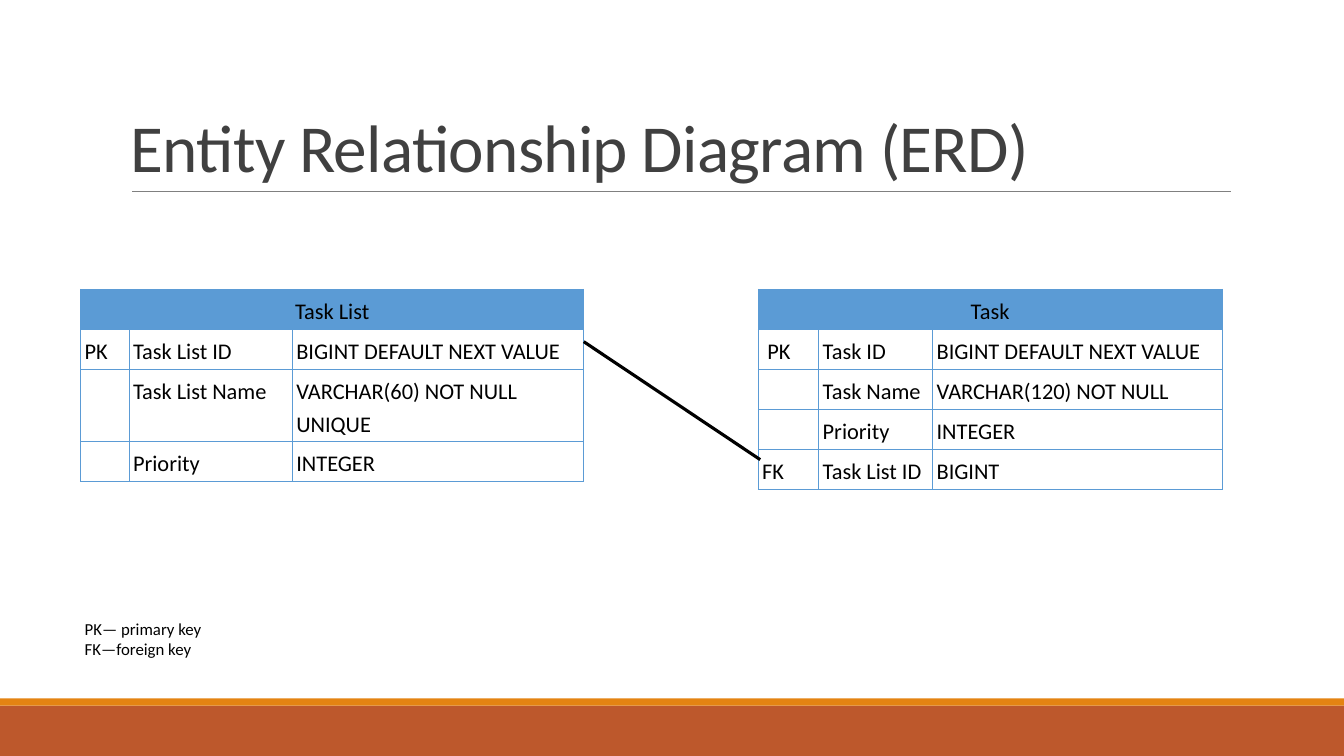
from lxml.etree import SubElement
from pptx import Presentation
from pptx.dml.color import RGBColor
from pptx.enum.shapes import MSO_CONNECTOR, MSO_SHAPE
from pptx.enum.text import MSO_ANCHOR, PP_ALIGN
from pptx.oxml import parse_xml
from pptx.oxml.ns import nsdecls, qn
from pptx.util import Inches, Pt

# Content
TITLE = "Entity Relationship Diagram (ERD)"
LEGEND = ["PK— primary key", "FK—foreign key"]
ENTITIES = [
    {"name": "Task List", "left": 0.8, "cols": [0.48, 1.62, 2.89], "fields": [
        ("PK", "Task List ID", "BIGINT DEFAULT NEXT VALUE"),
        ("", "Task List Name", "VARCHAR(60) NOT NULL UNIQUE"),
        ("", "Priority", "INTEGER")]},
    {"name": "Task", "left": 7.52, "cols": [0.6, 1.13, 2.87], "fields": [
        (" PK", "Task ID", "BIGINT DEFAULT NEXT VALUE"),
        ("", "Task Name", "VARCHAR(120) NOT NULL"),
        ("", "Priority", "INTEGER"),
        ("FK", "Task List ID", "BIGINT")]},
]
COLORS = {"title": "404040", "text": "000000", "table": "5B9BD5", "rule": "808080",
          "band": "BD582C", "stripe": "E48312"}

# Layout in inches
WIDTH, HEIGHT = 13.33, 7.5
BAND, STRIPE = 0.5, 0.07
TABLE_TOP, ROW, INSET = 2.87, 0.36, 0.04


def rgb(name):
    return RGBColor.from_string(COLORS[name])


def write(tf, text, size=16, color="text", align=PP_ALIGN.LEFT, line=None, after=0,
          spacing=None):
    for i, part in enumerate(text.split("\n")):
        p = tf.add_paragraph() if i else tf.paragraphs[0]
        p.alignment, p.space_after = align, Pt(after)
        if line:
            p.line_spacing = line
        r = p.add_run()
        r.text = part
        r.font.name, r.font.size = "Calibri", Pt(size)
        r.font.color.rgb = rgb(color)
        if spacing is not None:
            r.font._element.set("spc", str(round(spacing * 100)))


def add_box(s, left, top, width, height, inset=None):
    tf = s.shapes.add_textbox(*map(Inches, (left, top, width, height))).text_frame
    tf.word_wrap = True
    if inset is not None:
        tf.margin_left = tf.margin_right = tf.margin_top = tf.margin_bottom = Inches(inset)
    return tf


def add_bar(s, top, height, color):
    sp = s.shapes.add_shape(MSO_SHAPE.RECTANGLE, 0, Inches(top), Inches(WIDTH), Inches(height))
    sp.shadow.inherit = False
    sp.fill.solid()
    sp.fill.fore_color.rgb = rgb(color)
    sp.line.fill.background()


def add_line(s, x1, y1, x2, y2, color, width):
    c = s.shapes.add_connector(MSO_CONNECTOR.STRAIGHT, *map(Inches, (x1, y1, x2, y2)))
    c.line.color.rgb, c.line.width = rgb(color), Pt(width)
    SubElement(c._element.spPr, qn("a:effectLst"))


def format_cell(cell, fill=None):
    cell.margin_left = cell.margin_right = Inches(INSET)
    cell.margin_top = cell.margin_bottom = Inches(INSET)
    if fill:
        cell.fill.solid()
        cell.fill.fore_color.rgb = rgb(fill)
    else:
        cell.fill.background()
    for i, side in enumerate("LRTB"):
        cell._tc.get_or_add_tcPr().insert(i, parse_xml(
            f'<a:ln{side} {nsdecls("a")} w="{Pt(0.5)}"><a:solidFill>'
            f'<a:srgbClr val="{COLORS["table"]}"/></a:solidFill></a:ln{side}>'))


def add_entity(s, name, left, cols, fields):
    rows = [(name, "", "")] + fields
    table = s.shapes.add_table(len(rows), len(cols), Inches(left), Inches(TABLE_TOP),
                               Inches(sum(cols)), Inches(ROW * len(rows))).table
    table.first_row = table.horz_banding = False
    for column, width in zip(table.columns, cols):
        column.width = Inches(width)
    table.cell(0, 0).merge(table.cell(0, len(cols) - 1))
    for i, row in enumerate(rows):
        for j, text in enumerate(row):
            cell = table.cell(i, j)
            format_cell(cell, None if i else "table")
            if text:
                write(cell.text_frame, text, line=1.19, after=6,
                      align=PP_ALIGN.LEFT if i else PP_ALIGN.CENTER)


def main():
    prs = Presentation()
    prs.slide_width, prs.slide_height = Inches(WIDTH), Inches(HEIGHT)
    s = prs.slides.add_slide(prs.slide_layouts[6])

    # Footer bands and title
    add_bar(s, HEIGHT - BAND, BAND, "band")
    add_bar(s, HEIGHT - BAND - STRIPE, STRIPE, "stripe")
    add_line(s, 1.31, 1.9, 12.21, 1.9, "rule", 0.5)
    tf = add_box(s, 1.2, 0.31, 11, 1.59)
    tf.vertical_anchor = MSO_ANCHOR.BOTTOM
    write(tf, TITLE, size=48, color="title", line=0.85, spacing=-0.5)

    # Entities, legend and the key relationship
    for entity in ENTITIES:
        add_entity(s, **entity)
    write(add_box(s, 0.8, 6.1, 2.61, 0.88, INSET), "\n".join(LEGEND), size=12)
    add_line(s, 5.79, 3.39, 7.54, 4.56, "text", 2.25)

    prs.save("out.pptx")


if __name__ == "__main__":
    main()
